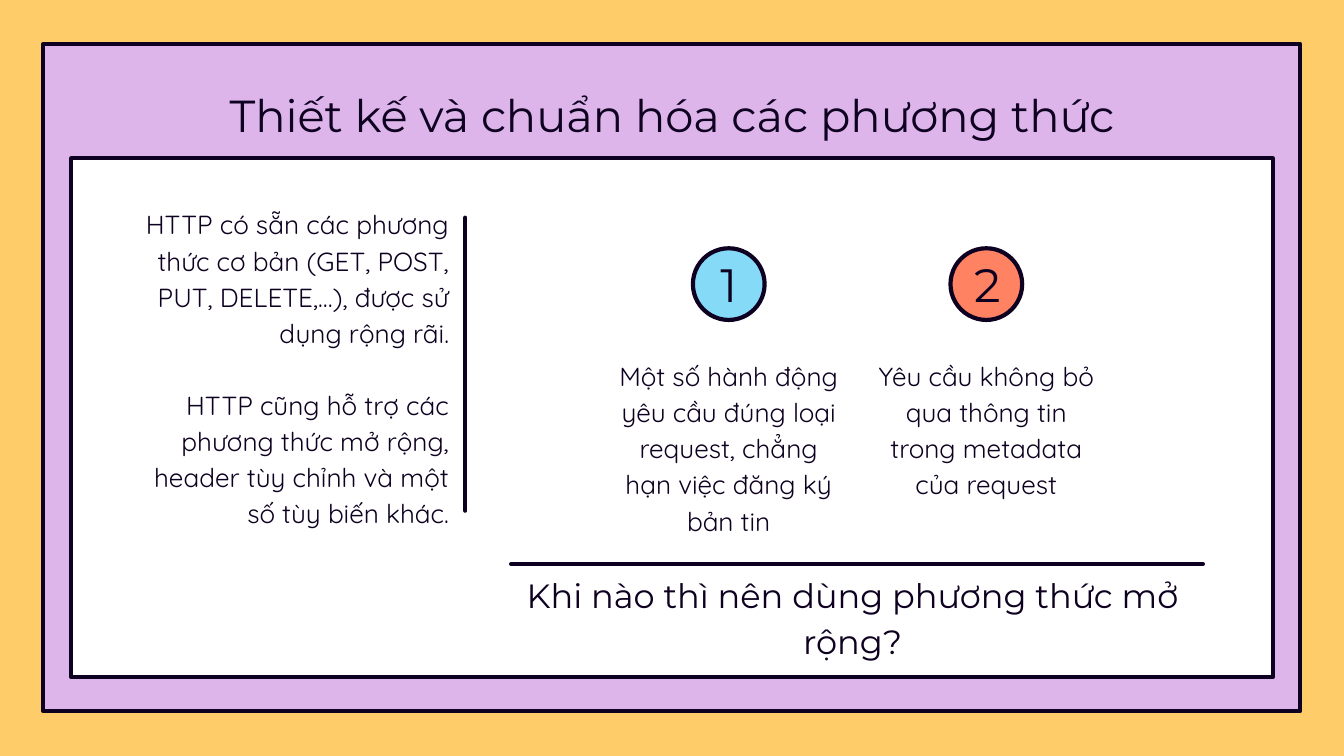
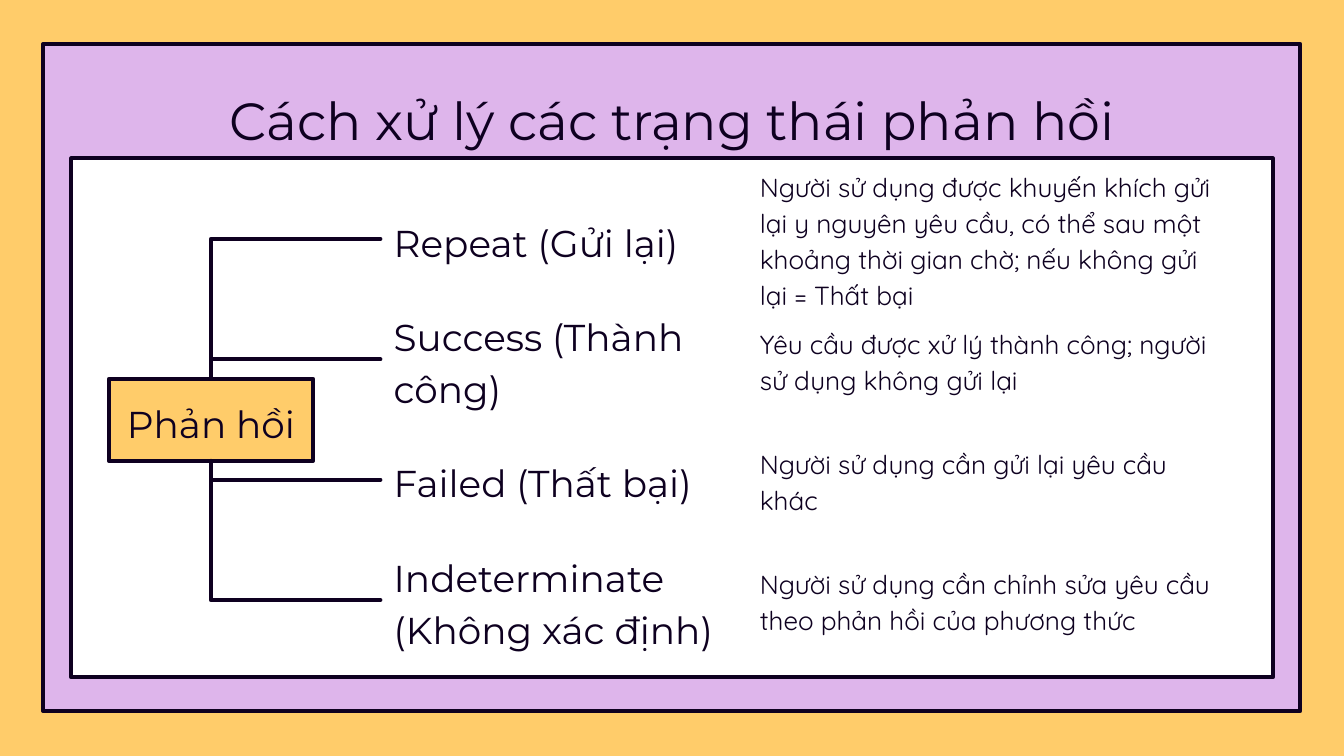
import pptx
import pptx.util
import pptx.dml.color
import pptx.enum.shapes
import pptx.enum.text
import pptx.oxml.ns
import lxml.etree

Pt = pptx.util.Pt
SHAPE = pptx.enum.shapes.MSO_SHAPE
CONNECTOR = pptx.enum.shapes.MSO_CONNECTOR
ALIGN = pptx.enum.text.PP_ALIGN
ANCHOR = pptx.enum.text.MSO_ANCHOR
qn = pptx.oxml.ns.qn

COLORS = {
    "ink": "0E0020",
    "yellow": "FFCC6A",
    "lilac": "DEB5EB",
    "white": "FFFFFF",
    "blue": "84DAF7",
    "coral": "FF8362",
}
HEADING, BODY = "Montserrat", "Quicksand"
LINE_WIDTH = 2.25
INSET = 7.2
LEFT_SITE, TOP_SITE, BOTTOM_SITE = 1, 0, 2


def color(name):
    return pptx.dml.color.RGBColor.from_string(COLORS[name])


def ink_line(line):
    line.color.rgb = color("ink")
    line.width = Pt(LINE_WIDTH)


def write(shape, text, size, font=HEADING, align=ALIGN.LEFT,
          anchor=ANCHOR.TOP, spacing=1.15, gap=0):
    """Fill a shape with one paragraph per line of text, gap points apart."""
    frame = shape.text_frame
    frame.word_wrap = True
    frame.vertical_anchor = anchor
    frame.margin_left = frame.margin_right = Pt(INSET)
    frame.margin_top = frame.margin_bottom = Pt(INSET)
    frame.text = text
    for index, paragraph in enumerate(frame.paragraphs):
        paragraph.alignment = align
        paragraph.line_spacing = spacing
        paragraph.space_before = Pt(gap if index else 0)
        paragraph.font.name = font
        paragraph.font.size = Pt(size)
        paragraph.font.color.rgb = color("ink")


def add_text(slide, x, y, w, h, text, size, **style):
    box = slide.shapes.add_textbox(Pt(x), Pt(y), Pt(w), Pt(h))
    write(box, text, size, **style)
    return box


def add_outlined(slide, kind, x, y, w, h, fill):
    shape = slide.shapes.add_shape(kind, Pt(x), Pt(y), Pt(w), Pt(h))
    shape.shadow.inherit = False
    shape.fill.solid()
    shape.fill.fore_color.rgb = color(fill)
    ink_line(shape.line)
    return shape


def add_line(slide, x1, y1, x2, y2, kind=CONNECTOR.STRAIGHT):
    line = slide.shapes.add_connector(kind, Pt(x1), Pt(y1), Pt(x2), Pt(y2))
    ink_line(line.line)
    properties = line._element.spPr
    properties.find(qn("a:ln")).set("cap", "rnd")
    lxml.etree.SubElement(properties, qn("a:effectLst"))
    return line


def add_branch(slide, label, root, root_site):
    """Join a label's left side to the root box with a single right angle."""
    branch = add_line(slide, 0, 0, 0, 0, CONNECTOR.ELBOW)
    branch.begin_connect(label, LEFT_SITE)
    branch.end_connect(root, root_site)
    branch._element.spPr.find(qn("a:prstGeom")).set("prst", "bentConnector2")


def add_framed_slide(deck, title, title_size):
    slide = deck.slides.add_slide(deck.slide_layouts[6])
    slide.background.fill.solid()
    slide.background.fill.fore_color.rgb = color("yellow")
    add_outlined(slide, SHAPE.RECTANGLE, 23.2, 23.6, 673.4, 357.4, "lilac")
    add_outlined(slide, SHAPE.RECTANGLE, 38.2, 84.8, 643.6, 278, "white")
    add_text(slide, 56.2, 35.3, 607.6, 45.4, title, title_size,
             align=ALIGN.CENTER)
    return slide


def add_reason(slide, center, number, fill, text):
    diameter, width = 38.4, 132.4
    badge = add_outlined(slide, SHAPE.OVAL, center - diameter / 2, 133,
                         diameter, diameter, fill)
    write(badge, number, 25, align=ALIGN.CENTER, anchor=ANCHOR.MIDDLE,
          spacing=1.0)
    add_text(slide, center - width / 2, 183.6, width, 66, text, 14,
             font=BODY, align=ALIGN.CENTER)


def build_methods(deck):
    slide = add_framed_slide(deck, "Thiết kế và chuẩn hóa các phương thức", 24)
    overview = (
        "HTTP có sẵn các phương thức cơ bản (GET, POST, PUT, DELETE,…), "
        "được sử dụng rộng rãi.\n"
        "HTTP cũng hỗ trợ các phương thức mở rộng, header tùy chỉnh và "
        "một số tùy biến khác."
    )
    add_text(slide, 68.4, 102.2, 179.3, 114.5, overview, 14, font=BODY,
             align=ALIGN.RIGHT, gap=19.3)
    add_line(slide, 249.3, 116.6, 249.3, 273.6)

    reasons = [
        ("blue", "Một số hành động yêu cầu đúng loại request, "
                 "chẳng hạn việc đăng ký bản tin"),
        ("coral", "Yêu cầu không bỏ qua thông tin trong metadata của request"),
    ]
    for index, (fill, text) in enumerate(reasons):
        add_reason(slide, 390.4 + 138 * index, str(index + 1), fill, text)

    add_line(slide, 273.8, 302.2, 644.4, 302.2)
    add_text(slide, 257, 311.8, 399.6, 35.3,
             "Khi nào thì nên dùng phương thức mở rộng?", 18,
             align=ALIGN.CENTER, anchor=ANCHOR.MIDDLE)


def build_responses(deck):
    slide = add_framed_slide(deck, "Cách xử lý các trạng thái phản hồi", 28)
    first_center, row_step = 128, 64.5
    label_height, detail_height = 44, 52
    root = add_outlined(slide, SHAPE.RECTANGLE, 58.3, 203, 109.4,
                        label_height, "yellow")
    write(root, "Phản hồi", 20, align=ALIGN.CENTER, anchor=ANCHOR.MIDDLE)

    statuses = [
        ("Repeat (Gửi lại)",
         "Người sử dụng được khuyến khích gửi lại y nguyên yêu cầu, có thể "
         "sau một khoảng thời gian chờ; nếu không gửi lại = Thất bại"),
        ("Success (Thành công)",
         "Yêu cầu được xử lý thành công; người sử dụng không gửi lại"),
        ("Failed (Thất bại)",
         "Người sử dụng cần gửi lại yêu cầu khác"),
        ("Indeterminate\n(Không xác định)",
         "Người sử dụng cần chỉnh sửa yêu cầu theo phản hồi của phương thức"),
    ]
    for index, (status, detail) in enumerate(statuses):
        center = first_center + row_step * index
        label = add_text(slide, 203.8, center - label_height / 2, 195.8,
                         label_height, status, 20, anchor=ANCHOR.MIDDLE)
        add_text(slide, 400, center - detail_height / 2, 261.4,
                 detail_height, detail, 14, font=BODY, anchor=ANCHOR.MIDDLE)
        upper_half = index < len(statuses) / 2
        add_branch(slide, label, root, TOP_SITE if upper_half else BOTTOM_SITE)


def main():
    deck = pptx.Presentation()
    deck.slide_width, deck.slide_height = Pt(720), Pt(405)
    build_methods(deck)
    build_responses(deck)
    deck.save("out.pptx")


if __name__ == "__main__":
    main()
